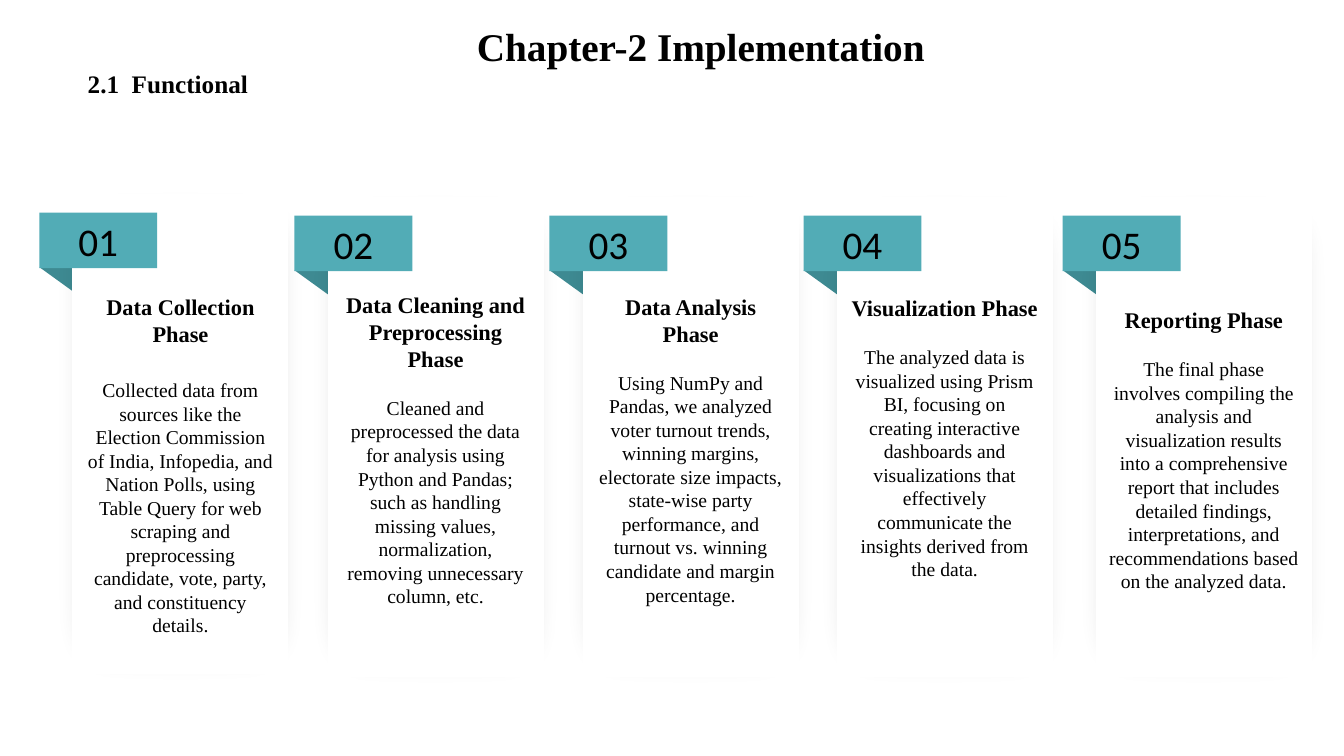
import pptx
import pptx.util
import pptx.dml.color
import pptx.enum.shapes
import pptx.enum.text
import pptx.oxml
import pptx.oxml.ns

Inches, Pt = pptx.util.Inches, pptx.util.Pt
SHAPE = pptx.enum.shapes.MSO_SHAPE
ANCHOR = pptx.enum.text.MSO_ANCHOR
CENTER = pptx.enum.text.PP_ALIGN.CENTER
SERIF, SANS = "Times New Roman", "Calibri"
TEAL, DARK, BLACK, WHITE = "52ACB6", "3E8A92", "000000", "FFFFFF"
LINE = 0.24

PHASES = [
    (0.39, 1.71, 0.61, 0, 22, "Data Collection Phase",
     "Collected data from sources like the Election Commission of India, "
     "Infopedia, and Nation Polls, using Table Query for web scraping and "
     "preprocessing candidate, vote, party, and constituency details."),
    (2.92, 1.74, 2 * LINE, LINE, 17, "Data Cleaning and Preprocessing Phase",
     "Cleaned and preprocessed the data for analysis using Python and "
     "Pandas; such as handling missing values, normalization, removing "
     "unnecessary column, etc."),
    (5.45, 1.74, 2 * LINE, LINE, 17, "Data Analysis Phase",
     "Using NumPy and Pandas, we analyzed voter turnout trends, winning "
     "margins, electorate size impacts, state-wise party performance, and "
     "turnout vs. winning candidate and margin percentage."),
    (7.97, 1.74, LINE, LINE, 17, "Visualization Phase",
     "The analyzed data is visualized using Prism BI, focusing on creating "
     "interactive dashboards and visualizations that effectively "
     "communicate the insights derived from the data."),
    (10.54, 1.74, 2 * LINE, LINE, 17, "Reporting Phase",
     "The final phase involves compiling the analysis and visualization "
     "results into a comprehensive report that includes detailed findings, "
     "interpretations, and recommendations based on the analyzed data."),
]


def color(code):
    """Turn a hex string into a colour."""
    return pptx.dml.color.RGBColor.from_string(code)


def write(para, text, size, bold=False, face=SERIF):
    """Add one centred black run to a paragraph."""
    para.alignment = CENTER
    run = para.add_run()
    run.text = text
    run.font.size, run.font.bold, run.font.name = Pt(size), bold, face
    run.font.color.rgb = color(BLACK)


def block(group, kind, box, fill):
    """Add a flat filled shape without outline."""
    shape = group.shapes.add_shape(kind, *map(Inches, box))
    shape.shadow.inherit = False
    shape.fill.solid()
    shape.fill.fore_color.rgb = color(fill)
    shape.line.fill.background()
    return shape


def soften(shape):
    """Make a shape a faint shade with blurred edges."""
    make, tag = pptx.oxml.parse_xml, pptx.oxml.ns.qn
    space = pptx.oxml.ns.nsdecls("a")
    fill = shape.fill.fore_color.rgb and shape.element.spPr.find(tag("a:solidFill"))
    fill[0].append(make(f'<a:alpha {space} val="25000"/>'))
    effect = shape.element.spPr.find(tag("a:effectLst"))
    effect.append(make(f'<a:softEdge {space} rad="{Inches(0.35)}"/>'))


def heading(holder, box, text, size):
    """Place a heading in a template placeholder."""
    holder.left, holder.top, holder.width, holder.height = map(Inches, box)
    frame = holder.text_frame
    frame.word_wrap = True
    frame.auto_size = pptx.enum.text.MSO_AUTO_SIZE.NONE
    frame.vertical_anchor = ANCHOR.TOP
    para = frame.paragraphs[0]
    props = para._p.get_or_add_pPr()
    props.set("marL", "0")
    props.set("indent", "0")
    props.append(pptx.oxml.parse_xml(f'<a:buNone {pptx.oxml.ns.nsdecls("a")}/>'))
    para.line_spacing, para.space_before = 0.9, Pt(0)
    write(para, text, size, True)


def panel(slide, left, top, number, phase):
    """Draw one phase card with its folded number ribbon."""
    lead, tail, gap, title, body = phase
    group = slide.shapes.add_group_shape()
    fold = block(group, SHAPE.RIGHT_TRIANGLE, (left, top + 0.94, 0.36, 0.26), DARK)
    fold.rotation = 180
    soften(block(group, SHAPE.RECTANGLE, (left, top, 2.79, 5.22), BLACK))

    card = block(group, SHAPE.RECTANGLE, (left + 0.36, top + 0.25, 2.08, 4.7), WHITE)
    card.line.color.rgb = color(WHITE)
    card.line.width = Pt(4.5)
    frame = card.text_frame
    frame.word_wrap = True
    frame.vertical_anchor = ANCHOR.MIDDLE
    frame.margin_top, frame.margin_bottom = Inches(0.05 + lead), Inches(0.05 + tail)
    write(frame.paragraphs[0], title, 16, True)
    para = frame.add_paragraph()
    para.space_before = Pt(gap)
    write(para, body, 14)

    ribbon = block(group, SHAPE.RECTANGLE, (left, top + 0.4, 1.17, 0.55), TEAL)
    ribbon.text_frame.vertical_anchor = ANCHOR.MIDDLE
    write(ribbon.text_frame.paragraphs[0], f"{number:02}", 28, face=SANS)


def main():
    """Build and save the slide."""
    deck = pptx.Presentation()
    deck.slide_width, deck.slide_height = Inches(13.33), Inches(7.5)
    slide = deck.slides.add_slide(deck.slide_layouts[1])
    title, body = slide.placeholders
    heading(title, (1.2, 0.22, 11.5, 0.77), "Chapter-2 Implementation", 28)
    heading(body, (0, 0.66, 3.33, 0.51), "2.1  Functional", 18)
    for number, (left, top, *phase) in enumerate(PHASES, 1):
        panel(slide, left, top, number, phase)
    deck.save("out.pptx")


if __name__ == "__main__":
    main()
